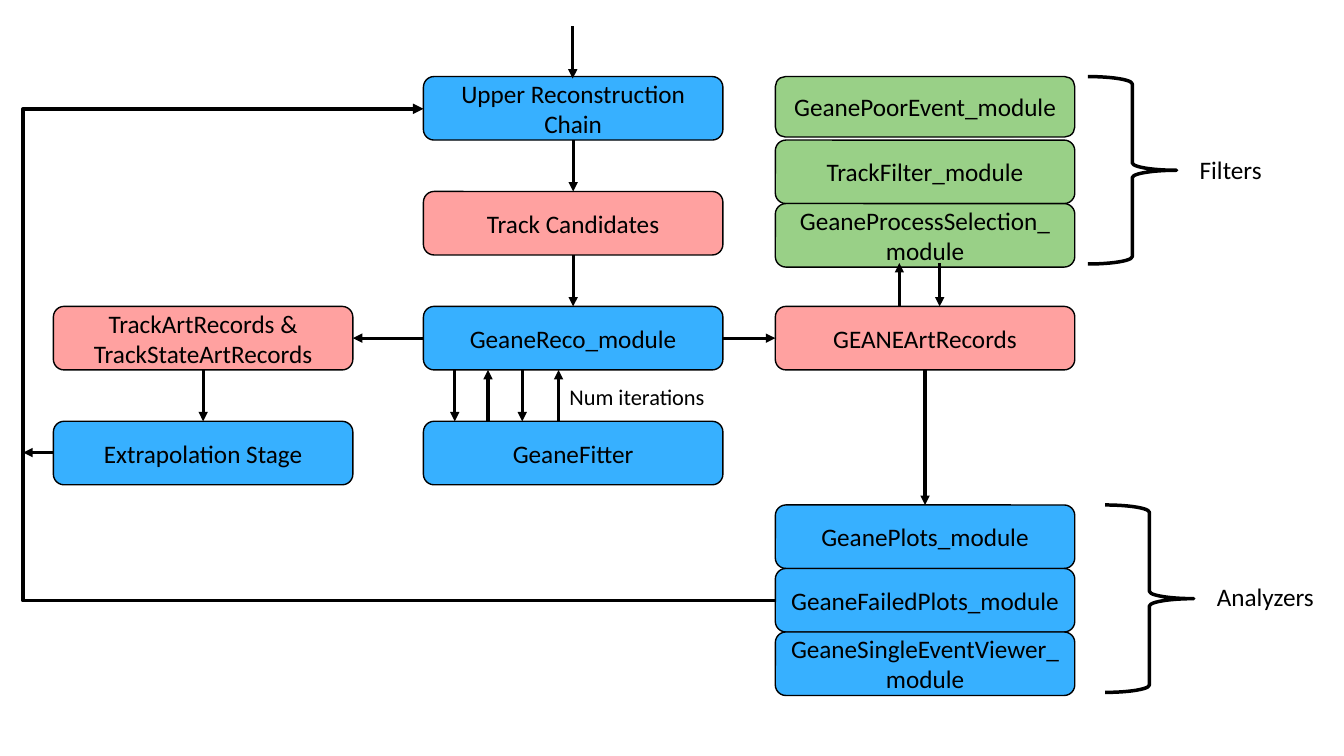
from pptx import Presentation
from pptx.dml.color import RGBColor
from pptx.enum.shapes import MSO_CONNECTOR, MSO_SHAPE
from pptx.enum.text import MSO_ANCHOR, MSO_AUTO_SIZE, PP_ALIGN
from pptx.oxml.ns import qn
from pptx.util import Inches, Pt
from lxml import etree

ROUNDED = MSO_SHAPE.ROUNDED_RECTANGLE
BRACE = MSO_SHAPE.RIGHT_BRACE
STRAIGHT = MSO_CONNECTOR.STRAIGHT
ELBOW = MSO_CONNECTOR.ELBOW
MIDDLE = MSO_ANCHOR.MIDDLE
TOP = MSO_ANCHOR.TOP
CENTER = PP_ALIGN.CENTER
LEFT = PP_ALIGN.LEFT
FIT_SHAPE = MSO_AUTO_SIZE.SHAPE_TO_FIT_TEXT
NO_FIT = MSO_AUTO_SIZE.NONE

BLACK, BLUE, PINK, GREEN = "000000", "37B0FF", "FFA1A0", "99D087"
BOX_WIDTH, BOX_HEIGHT = 2.97, 0.63
LEFT_X, MIDDLE_X, RIGHT_X = 0.53, 4.2, 7.69
LEFT_CENTER, MIDDLE_CENTER, RIGHT_CENTER = (
    x + BOX_WIDTH / 2 for x in (LEFT_X, MIDDLE_X, RIGHT_X))
CHAIN_Y, CANDIDATES_Y, RECO_Y, FITTER_Y = (0.76 + 1.14 * row for row in range(4))
FILTERS_Y, ANALYZERS_Y = CHAIN_Y, 5.01
RECO_MIDDLE = RECO_Y + BOX_HEIGHT / 2
RECO_BOTTOM = RECO_Y + BOX_HEIGHT
LOOP_X = 0.23

BOXES = [
    ("GeaneReco_module", MIDDLE_X, RECO_Y, BLUE),
    ("Track Candidates", MIDDLE_X, CANDIDATES_Y, PINK),
    ("GeaneFitter", MIDDLE_X, FITTER_Y, BLUE),
    ("Extrapolation Stage", LEFT_X, FITTER_Y, BLUE),
    ("Upper Reconstruction Chain", MIDDLE_X, CHAIN_Y, BLUE),
    ("GEANEArtRecords", RIGHT_X, RECO_Y, PINK),
    ("TrackArtRecords & TrackStateArtRecords", LEFT_X, RECO_Y, PINK),
]
FILTERS = ["GeanePoorEvent_module", "TrackFilter_module",
           "GeaneProcessSelection_\nmodule"]
ANALYZERS = ["GeanePlots_module", "GeaneFailedPlots_module",
             "GeaneSingleEventViewer_module"]

ARROWS = [
    (5.68, 0.26, 5.68, 0.78),
    (MIDDLE_CENTER, CHAIN_Y + BOX_HEIGHT, MIDDLE_CENTER, CANDIDATES_Y),
    (MIDDLE_CENTER, CANDIDATES_Y + BOX_HEIGHT, MIDDLE_CENTER, RECO_Y),
    (MIDDLE_X + BOX_WIDTH, RECO_MIDDLE, RIGHT_X, RECO_MIDDLE),
    (MIDDLE_X, RECO_MIDDLE, LEFT_X + BOX_WIDTH, RECO_MIDDLE),
    (LEFT_CENTER, RECO_BOTTOM, LEFT_CENTER, FITTER_Y),
    (RIGHT_CENTER, RECO_BOTTOM, RIGHT_CENTER, ANALYZERS_Y),
    (8.92, RECO_Y, 8.92, 2.61),
    (9.32, 2.61, 9.32, RECO_Y),
    (LEFT_X, 4.49, LOOP_X, 4.49),
]
DOWN_TO_FITTER = [4.51, 5.18]
UP_FROM_FITTER = [4.84, 5.54]


def color(value):
    return RGBColor.from_string(value)


def set_values(target, values):
    for name, value in values.items():
        setattr(target, name, value)


def write_text(shape, text, size, alignment, frame_values):
    frame = shape.text_frame
    frame.text = text
    set_values(frame, frame_values)
    for paragraph in frame.paragraphs:
        paragraph.alignment = alignment
        for run in paragraph.runs:
            set_values(run.font, {"name": "Calibri", "size": Pt(size)})
            run.font.color.rgb = color(BLACK)


def style_line(shape, width):
    shape.line.color.rgb = color(BLACK)
    shape.line.width = Pt(width)


def add_box(slide, text, left, top, fill, height=BOX_HEIGHT):
    box = slide.shapes.add_shape(
        ROUNDED, Inches(left), Inches(top), Inches(BOX_WIDTH), Inches(height))
    box.shadow.inherit = False
    box.fill.solid()
    box.fill.fore_color.rgb = color(fill)
    style_line(box, 1)
    write_text(box, text, 18, CENTER,
               {"word_wrap": True, "vertical_anchor": MIDDLE, "auto_size": NO_FIT})


def add_stack(slide, texts, top, fill, first_height=BOX_HEIGHT):
    for index, text in enumerate(texts):
        height = first_height if index == 0 else BOX_HEIGHT
        add_box(slide, text, RIGHT_X, top + index * BOX_HEIGHT, fill, height)


def add_label(slide, text, left, top, width, height, size=18):
    label = slide.shapes.add_textbox(
        Inches(left), Inches(top), Inches(width), Inches(height))
    write_text(label, text, size, LEFT,
               {"word_wrap": False, "vertical_anchor": TOP, "auto_size": FIT_SHAPE})


def add_brace(slide, left, top):
    brace = slide.shapes.add_shape(
        BRACE, Inches(left), Inches(top), Inches(0.88), Inches(1.86))
    brace.shadow.inherit = False
    brace.fill.background()
    style_line(brace, 2.5)


def add_arrow(slide, start_x, start_y, end_x, end_y, kind=STRAIGHT, width=2.25):
    arrow = slide.shapes.add_connector(
        kind, Inches(start_x), Inches(start_y), Inches(end_x), Inches(end_y))
    style_line(arrow, width)
    etree.SubElement(arrow.line._get_or_add_ln(), qn("a:tailEnd"), type="triangle")
    etree.SubElement(arrow._element.spPr, qn("a:effectLst"))
    return arrow


def add_loop(slide, start_x, start_y, end_x, end_y, turn_x):
    loop = add_arrow(slide, start_x, start_y, end_x, end_y, ELBOW, 2.5)
    ratio = (start_x - turn_x) / (start_x - end_x)
    geometry = loop._element.spPr.find(qn("a:prstGeom"))
    adjustments = geometry.find(qn("a:avLst"))
    if adjustments is None:
        adjustments = etree.SubElement(geometry, qn("a:avLst"))
    etree.SubElement(adjustments, qn("a:gd"), name="adj1",
                     fmla=f"val {round(ratio * 100000)}")


def main():
    presentation = Presentation()
    set_values(presentation, {"slide_width": Inches(13.33),
                              "slide_height": Inches(7.5)})
    slide = presentation.slides.add_slide(presentation.slide_layouts[6])

    for box in BOXES:
        add_box(slide, *box)
    add_stack(slide, FILTERS, FILTERS_Y, GREEN, 0.6)
    add_stack(slide, ANALYZERS, ANALYZERS_Y, BLUE)

    for arrow in ARROWS:
        add_arrow(slide, *arrow)
    for x in DOWN_TO_FITTER:
        add_arrow(slide, x, RECO_BOTTOM, x, FITTER_Y)
    for x in UP_FROM_FITTER:
        add_arrow(slide, x, FITTER_Y, x, RECO_BOTTOM)
    add_loop(slide, RIGHT_X, 5.96, MIDDLE_X, 1.08, LOOP_X)

    add_brace(slide, 10.79, FILTERS_Y)
    add_brace(slide, 10.96, ANALYZERS_Y)
    add_label(slide, "Filters", 11.8, 1.48, 0.82, 0.4)
    add_label(slide, "Analyzers", 11.97, 5.72, 1.17, 0.4)
    add_label(slide, "Num iterations", 5.55, 3.75, 1.56, 0.37, 16)

    presentation.save("out.pptx")


main()
